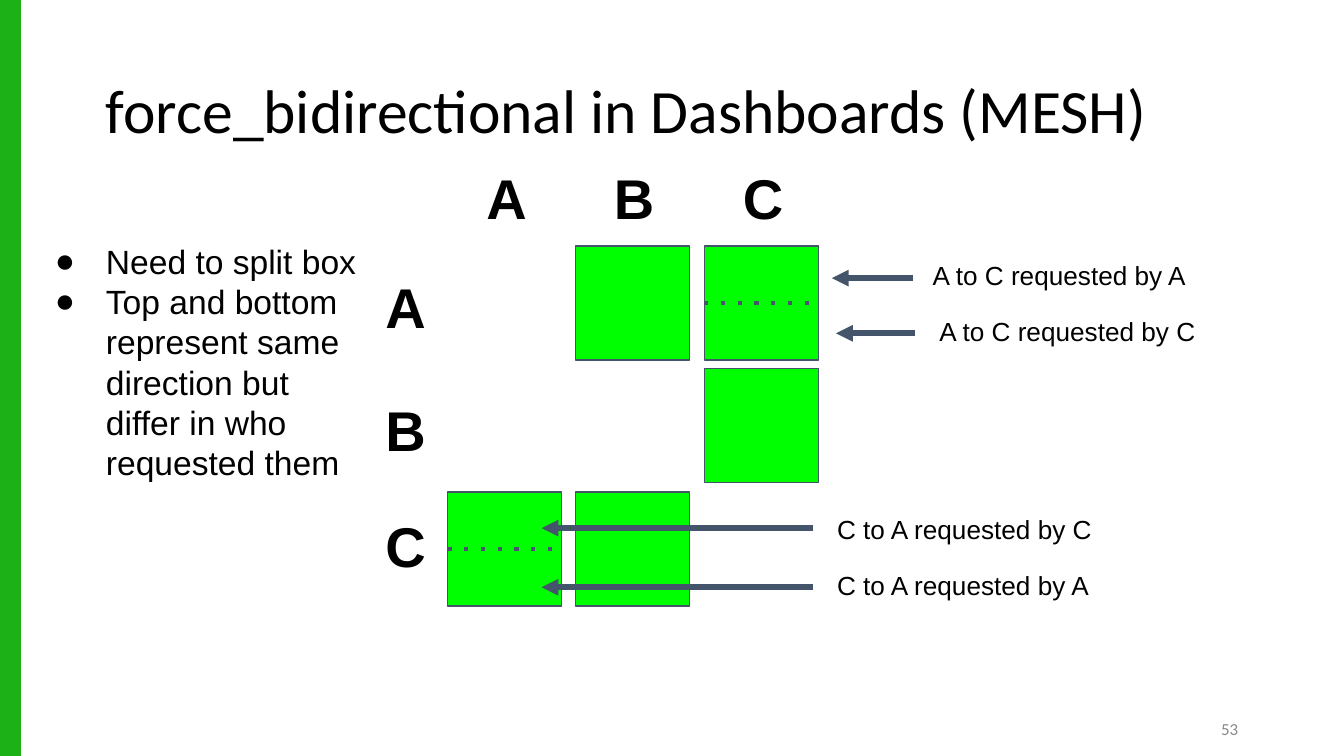
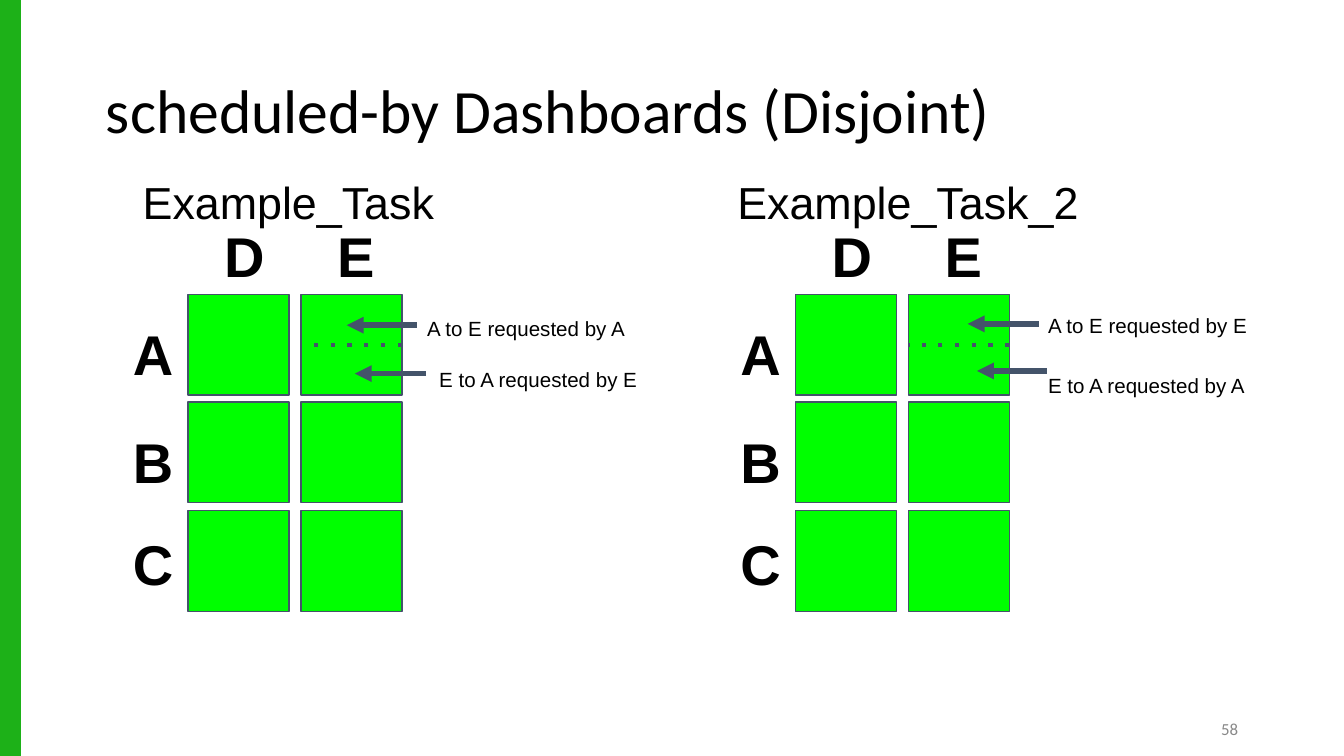
from dataclasses import dataclass

from lxml import etree
from pptx import Presentation
from pptx.dml.color import RGBColor
from pptx.enum.shapes import MSO_CONNECTOR, MSO_SHAPE
from pptx.enum.text import MSO_ANCHOR, PP_ALIGN
from pptx.oxml.ns import qn
from pptx.util import Pt

EMU_PER_PX = 9144  # 100 px to the inch
PAGE_W, PAGE_H = 1000, 562.5
PAD = 10

BAND_GREEN = RGBColor(0x1D, 0xB1, 0x18)
CELL_GREEN = RGBColor(0x00, 0xFF, 0x00)
SLATE = RGBColor(0x44, 0x54, 0x6A)
BLACK = RGBColor(0x00, 0x00, 0x00)
GREY = RGBColor(0x88, 0x88, 0x88)

BODY_FONT, TITLE_FONT = "Arial", "Calibri"
RECTANGLE = MSO_SHAPE.RECTANGLE
STRAIGHT = MSO_CONNECTOR.STRAIGHT
TOP, MIDDLE = MSO_ANCHOR.TOP, MSO_ANCHOR.MIDDLE
LEFT, CENTER, RIGHT = PP_ALIGN.LEFT, PP_ALIGN.CENTER, PP_ALIGN.RIGHT
LEFT_SIDE, RIGHT_SIDE = 1, 3


@dataclass
class MeshStyle:
    cell: int
    label: tuple  # width and height of a row or column letter
    note: tuple  # width and height of a callout text
    note_size: int


LARGE = MeshStyle(cell=85, label=(46, 64), note=(242, 30), note_size=14)
SMALL = MeshStyle(cell=75, label=(41, 57), note=(214, 26), note_size=11)


def px(*lengths):
    return [round(length * EMU_PER_PX) for length in lengths]


def add_child(parent, tag, **attributes):
    return etree.SubElement(parent, qn(tag), attributes)


def add_text(page, box, lines, size, font=BODY_FONT, color=BLACK, bold=False,
             align=LEFT, anchor=TOP, pad_y=PAD, spacing=None, bullet=None):
    frame = page.shapes.add_textbox(*px(*box)).text_frame
    frame.word_wrap = True
    frame.vertical_anchor = anchor
    frame.margin_left, frame.margin_right = px(PAD, PAD)
    frame.margin_top, frame.margin_bottom = px(pad_y, pad_y)
    for index, line in enumerate(lines):
        para = frame.add_paragraph() if index else frame.paragraphs[0]
        para.text = line
        para.alignment = align
        if spacing:
            para.line_spacing = spacing
        if bullet:
            add_bullet(para, bullet)
        para.font.name, para.font.size = font, Pt(size)
        para.font.bold, para.font.color.rgb = bold, color


def add_bullet(para, symbol):
    properties = para._p.get_or_add_pPr()
    indent, hanging = px(50, -38)
    properties.set("marL", str(indent))
    properties.set("indent", str(hanging))
    add_child(add_child(properties, "a:buClr"), "a:srgbClr", val=str(BLACK))
    add_child(properties, "a:buFont", typeface=BODY_FONT)
    add_child(properties, "a:buChar", char=symbol)


def add_rectangle(page, box, fill, line):
    shape = page.shapes.add_shape(RECTANGLE, *px(*box))
    shape.shadow.inherit = False
    shape.fill.solid()
    shape.fill.fore_color.rgb = fill
    shape.line.color.rgb = line
    shape.line.width = Pt(0.75)
    return shape


def add_line(page, start, end, width, tag, **attributes):
    """Draw a slate line; the tag adds a dash or an arrowhead."""
    line = page.shapes.add_connector(STRAIGHT, *px(*start, *end))
    line.line.color.rgb = SLATE
    line.line.width = Pt(width)
    add_child(line.line._get_or_add_ln(), tag, **attributes)
    add_child(line._element.spPr, "a:effectLst")
    return line


def add_frame(deck, title, number):
    """Add a page with its side band, title and page number."""
    page = deck.slides.add_slide(deck.slide_layouts[6])
    add_rectangle(page, (0, 0, 15, PAGE_H), BAND_GREEN, BAND_GREEN)
    add_text(page, (69, 30, 862, 109), [title], 33, font=TITLE_FONT,
             anchor=MIDDLE, spacing=0.9)
    add_text(page, (706, 527, 225, 30), [number], 9, font=TITLE_FONT,
             color=GREY, align=RIGHT, anchor=MIDDLE, pad_y=5)
    return page


def add_mesh(page, box, columns, rows, style, splits, callouts):
    """Draw the lettered cells of a dashboard, then its split cells and callouts."""
    left, top, width, height = box
    cell = style.cell
    label_w, label_h = style.label
    lefts = [left + i * (width - cell) // (len(columns) - 1)
             for i in range(len(columns))]
    tops = [top + i * (height - cell) // (len(rows) - 1)
            for i in range(len(rows))]

    # Column and row letters; the last row letter sits a little higher
    for letter, x in zip(columns, lefts):
        add_text(page, (x + (cell - label_w) // 2, top - label_h - 7,
                        label_w, label_h), [letter], 30, bold=True)
    for letter, y in zip(rows, tops):
        lift = 5 if letter == rows[-1] else 0
        add_text(page, (left - label_w - 10, y + (cell - label_h) // 2 - lift,
                        label_w, label_h), [letter], 30, bold=True)

    # Cells, skipping a node paired with itself
    cells = {}
    for row, y in zip(rows, tops):
        for column, x in zip(columns, lefts):
            if (row, column) not in (("A", "A"), ("B", "B"), ("C", "C"), ("B", "A")):
                cells[row + column] = add_rectangle(
                    page, (x, y, cell, cell), CELL_GREEN, SLATE)

    # Dotted lines across the split cells
    for name, start_side, end_side in splits:
        line = add_line(page, (0, 0), (0, 0), 2.25, "a:prstDash", val="dot")
        line.begin_connect(cells[name], start_side)
        line.end_connect(cells[name], end_side)

    # Callouts: arrow tail, tip and height, then text position
    for tail, tip, arrow_y, note_x, note_y, note in callouts:
        add_line(page, (left + tail, top + arrow_y), (left + tip, top + arrow_y),
                 3, "a:tailEnd", type="triangle")
        add_text(page, (left + note_x, top + note_y, *style.note),
                 [note], style.note_size)


def add_bidirectional_page(deck):
    page = add_frame(deck, "force_bidirectional in Dashboards (MESH)", "53")
    add_text(page, (19, 169, 257, 190), [
        "Need to split box",
        "Top and bottom represent same direction but differ in who requested them",
    ], 18, bullet="●")
    add_mesh(page, (333, 183, 276, 268), "ABC", "ABC", LARGE,
             [("AC", LEFT_SIDE, RIGHT_SIDE), ("CA", LEFT_SIDE, RIGHT_SIDE)], [
                 (346, 286, 24, 351, 0, "A to C requested by A"),
                 (348, 289, 65, 356, 42, "A to C requested by C"),
                 (272, 70, 210, 280, 189, "C to A requested by C"),
                 (272, 70, 254, 280, 231, "C to A requested by A"),
             ])


def add_disjoint_page(deck):
    page = add_frame(deck, "scheduled-by Dashboards (Disjoint)", "58")
    tasks = [
        ("Example_Task", (79, 120, 271, 49), 140, [
            (170, 118, 23, 168, 7, "A to E requested by A"),
            (177, 124, 59, 177, 45, "E to A requested by E"),
        ]),
        ("Example_Task_2", (531, 120, 289, 49), 592, [
            (181, 128, 22, 178, 5, "A to E requested by E"),
            (187, 135, 57, 178, 49, "E to A requested by A"),
        ]),
    ]
    for name, heading_box, left, callouts in tasks:
        add_text(page, heading_box, [name], 24, align=CENTER)
        add_mesh(page, (left, 219, 159, 236), "DE", "ABC", SMALL,
                 [("AE", RIGHT_SIDE, LEFT_SIDE)], callouts)


def main():
    deck = Presentation()
    deck.slide_width, deck.slide_height = px(PAGE_W, PAGE_H)
    add_bidirectional_page(deck)
    add_disjoint_page(deck)
    deck.save("out.pptx")


if __name__ == "__main__":
    main()
